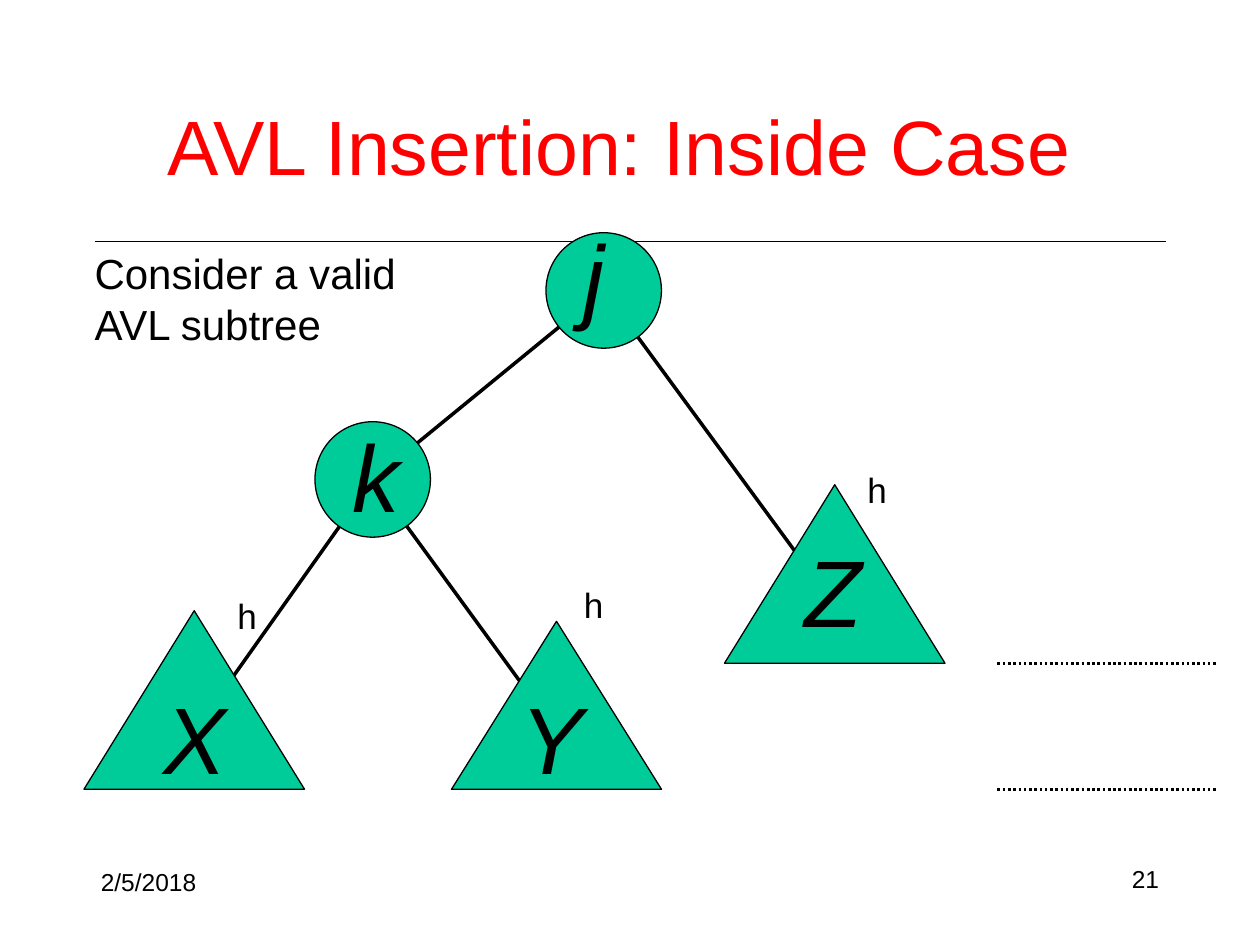
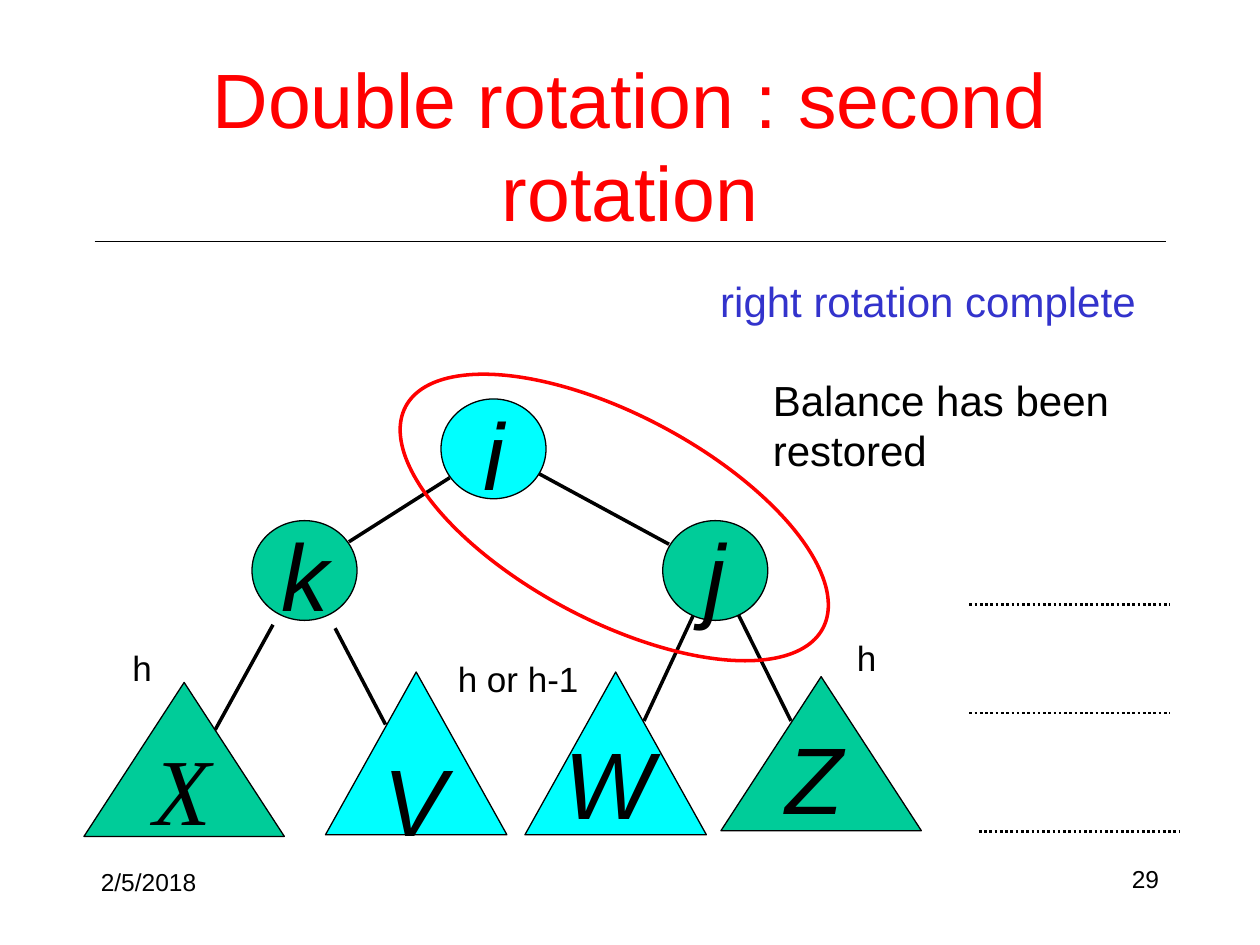
import pptx
import pptx.dml.color
import pptx.enum.dml
import pptx.enum.shapes
import pptx.enum.text
import pptx.util
from pptx.oxml.ns import qn

Pt = pptx.util.Pt
SHAPE = pptx.enum.shapes.MSO_SHAPE
ALIGN = pptx.enum.text.PP_ALIGN
ANCHOR = pptx.enum.text.MSO_ANCHOR
BLACK, RED, BLUE, GREEN, CYAN = "000000", "FF0000", "3333CC", "00CC99", "00FFFF"


def color(value):
    return pptx.dml.color.RGBColor.from_string(value)


def format_text(shape, text, size, ink=BLACK, align=ALIGN.LEFT, anchor=ANCHOR.TOP,
                italic=False, font="Arial", spacing=None):
    frame = shape.text_frame
    frame.text = text
    frame.word_wrap = True
    frame.auto_size = pptx.enum.text.MSO_AUTO_SIZE.NONE
    frame.vertical_anchor = anchor
    frame.margin_left = frame.margin_right = Pt(3.6)
    frame.margin_top = frame.margin_bottom = Pt(3.6)
    for paragraph in frame.paragraphs:
        paragraph.alignment = align
        paragraph.line_spacing = spacing
        paragraph.font.name = font
        paragraph.font.size = Pt(size)
        paragraph.font.italic = italic
        paragraph.font.color.rgb = color(ink)


def add_text(slide, left, top, width, height, text, size, **style):
    box = slide.shapes.add_textbox(Pt(left), Pt(top), Pt(width), Pt(height))
    format_text(box, text, size, **style)


def add_line(slide, start, end, width=2, dotted=False):
    line = slide.shapes.add_connector(pptx.enum.shapes.MSO_CONNECTOR.STRAIGHT,
                                      *[Pt(value) for value in (*start, *end)])
    line.line.color.rgb = color(BLACK)
    line.line.width = Pt(width)
    if dotted:
        line.line.dash_style = pptx.enum.dml.MSO_LINE.ROUND_DOT
    properties = line._element.spPr
    properties.append(properties.makeelement(qn("a:effectLst"), {}))


def add_outline(slide, kind, left, top, width, height, fill=None, ink=BLACK, weight=0.75):
    shape = slide.shapes.add_shape(kind, Pt(left), Pt(top), Pt(width), Pt(height))
    shape.shadow.inherit = False
    if fill:
        shape.fill.solid()
        shape.fill.fore_color.rgb = color(fill)
    else:
        shape.fill.background()
    shape.line.color.rgb = color(ink)
    shape.line.width = Pt(weight)
    return shape


def add_tree_parts(slide, origin, parts):
    left, top = origin
    for kind, x, y, width, height, fill, letter, letter_x, letter_y, font in parts:
        add_outline(slide, kind, left + x, top + y, width, height, fill)
        add_text(slide, left + letter_x, top + letter_y, 40, 68, letter, 54,
                 italic=True, font=font)


def add_edges(slide, origin, edges):
    left, top = origin
    for x1, y1, x2, y2 in edges:
        add_line(slide, (left + x1, top + y1), (left + x2, top + y2))


def add_levels(slide, origin, length, levels):
    left, top = origin
    for x, y in levels:
        add_line(slide, (left + x, top + y), (left + x + length, top + y), 1.5, True)


def add_heights(slide, origin, heights):
    left, top = origin
    for x, y, text in heights:
        add_text(slide, left + x, top + y, 90, 29.5, text, 20)


def add_slide(presentation, title, top, height, number):
    slide = presentation.slides.add_slide(presentation.slide_layouts[5])
    heading = slide.shapes.title
    heading.left, heading.top = Pt(52.3), Pt(top)
    heading.width, heading.height = Pt(615.6), Pt(height)
    format_text(heading, title, 44, ink=RED, align=ALIGN.CENTER, anchor=ANCHOR.MIDDLE)
    add_line(slide, (54, 138), (666, 138), 0.75)
    add_text(slide, 54, 492, 150, 24.5, "2/5/2018", 14)
    add_text(slide, 516, 492, 150, 23, number, 14, align=ALIGN.RIGHT, spacing=0.9)
    return slide


def draw_valid_subtree(slide, origin):
    parts = {
        "j": (SHAPE.OVAL, 264, 0, 66, 66, GREEN, "j", 282, -12, "Arial"),
        "k": (SHAPE.OVAL, 132, 108, 66, 66, GREEN, "k", 150, 102.5, "Arial"),
        "X": (SHAPE.ISOSCELES_TRIANGLE, 0, 216, 126, 102, GREEN, "X", 42, 252, "Arial"),
        "Y": (SHAPE.ISOSCELES_TRIANGLE, 210, 222, 120, 96, GREEN, "Y", 246, 252, "Arial"),
        "Z": (SHAPE.ISOSCELES_TRIANGLE, 366, 144, 126, 102, GREEN, "Z", 408, 168, "Arial"),
    }

    def anchor_point(name):
        x, y, width, height = parts[name][1:5]
        return x + width / 2, y + height - 33

    add_edges(slide, origin, [(*anchor_point(parent), *anchor_point(child))
                              for parent, child in ("jk", "kX", "kY", "jZ")])
    add_tree_parts(slide, origin, parts.values())
    add_levels(slide, origin, 126, [(522, 246), (522, 318)])
    add_heights(slide, origin, [(444, 131, "h"), (282, 197, "h"), (84, 203, "h")])


def draw_rotated_tree(slide, origin):
    triangle = SHAPE.ISOSCELES_TRIANGLE
    add_tree_parts(slide, origin, [
        (SHAPE.OVAL, 204, 0, 60, 57, CYAN, "i", 224.4, -5.5, "Arial"),
        (SHAPE.OVAL, 96, 69.5, 60, 57, GREEN, "k", 109, 64, "Arial"),
        (SHAPE.OVAL, 330.7, 69.5, 60, 57, GREEN, "j", 351, 64, "Arial"),
        (triangle, 0, 162, 114.5, 88, GREEN, "X", 36, 186, "Times New Roman"),
        (triangle, 138, 156, 103.7, 93, CYAN, "V", 167.7, 192.5, "Arial"),
        (triangle, 252, 156, 103.7, 93, CYAN, "W", 271, 183, "Arial"),
        (triangle, 364, 158.7, 114.5, 88, GREEN, "Z", 397, 180, "Arial"),
    ])
    add_edges(slide, origin, [
        (209, 45, 151.4, 81.6), (260, 42.7, 334.3, 83),
        (108, 129, 75, 189), (143.5, 131, 172.3, 186),
        (348, 124, 320, 184), (374, 123.4, 404, 184),
    ])
    add_levels(slide, origin, 114.5, [(506, 117.6), (506, 179.5), (511.4, 247)])
    left, top = origin
    ring = add_outline(slide, SHAPE.OVAL, left + 168, top + 9, 270, 117.4, None, RED, 2)
    ring.rotation = 28
    add_heights(slide, origin, [(438, 132, "h"), (24, 138, "h"), (210, 144, "h or h-1")])


def main():
    presentation = pptx.Presentation()
    presentation.slide_width, presentation.slide_height = Pt(720), Pt(540)

    slide = add_slide(presentation, "AVL Insertion: Inside Case ", 54.7, 55.4, "21")
    draw_valid_subtree(slide, (48, 133))
    add_text(slide, 50.4, 138, 190, 63, "Consider a valid\nAVL subtree", 24)

    slide = add_slide(presentation, "Double rotation : second rotation", 29.5, 105.8, "29")
    draw_rotated_tree(slide, (48, 228))
    add_text(slide, 408, 154, 260, 34.5, "right rotation complete", 24, ink=BLUE)
    add_text(slide, 438, 211, 220, 63, "Balance has been\nrestored", 24, anchor=ANCHOR.MIDDLE)

    presentation.save("out.pptx")


if __name__ == "__main__":
    main()
